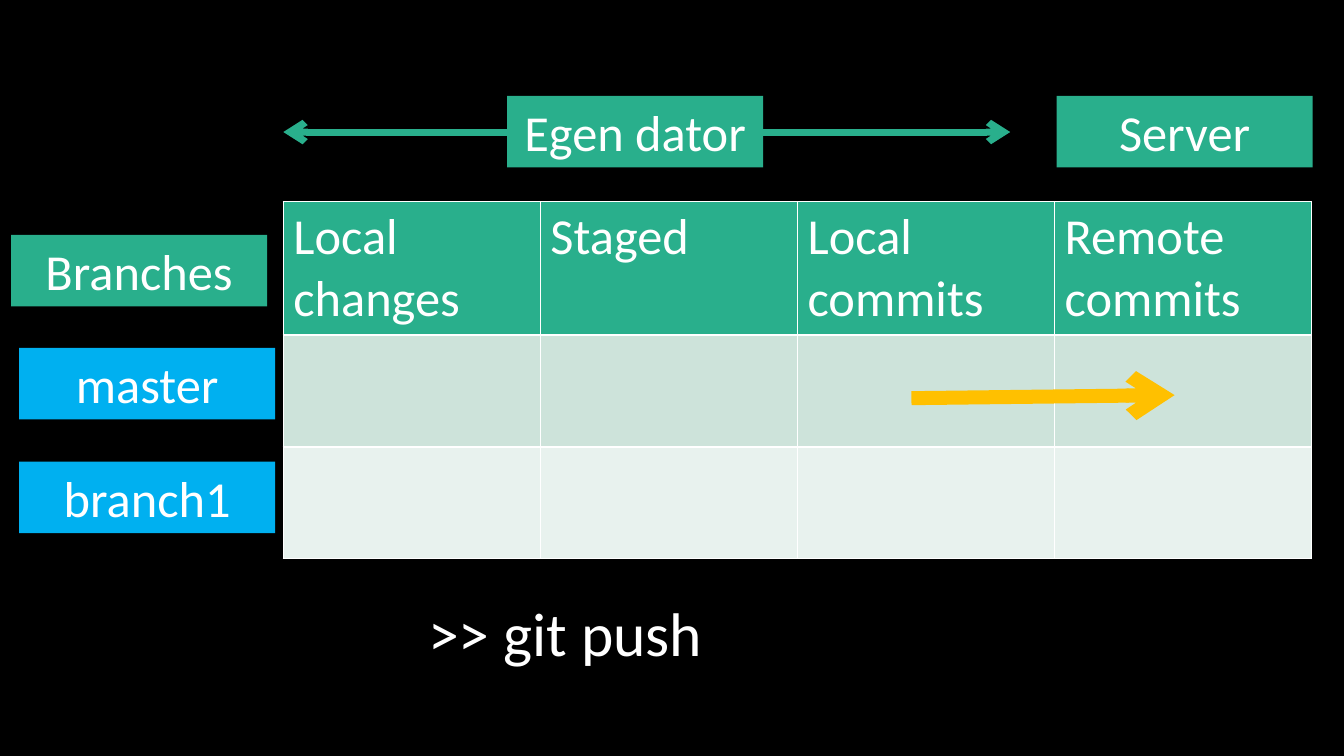
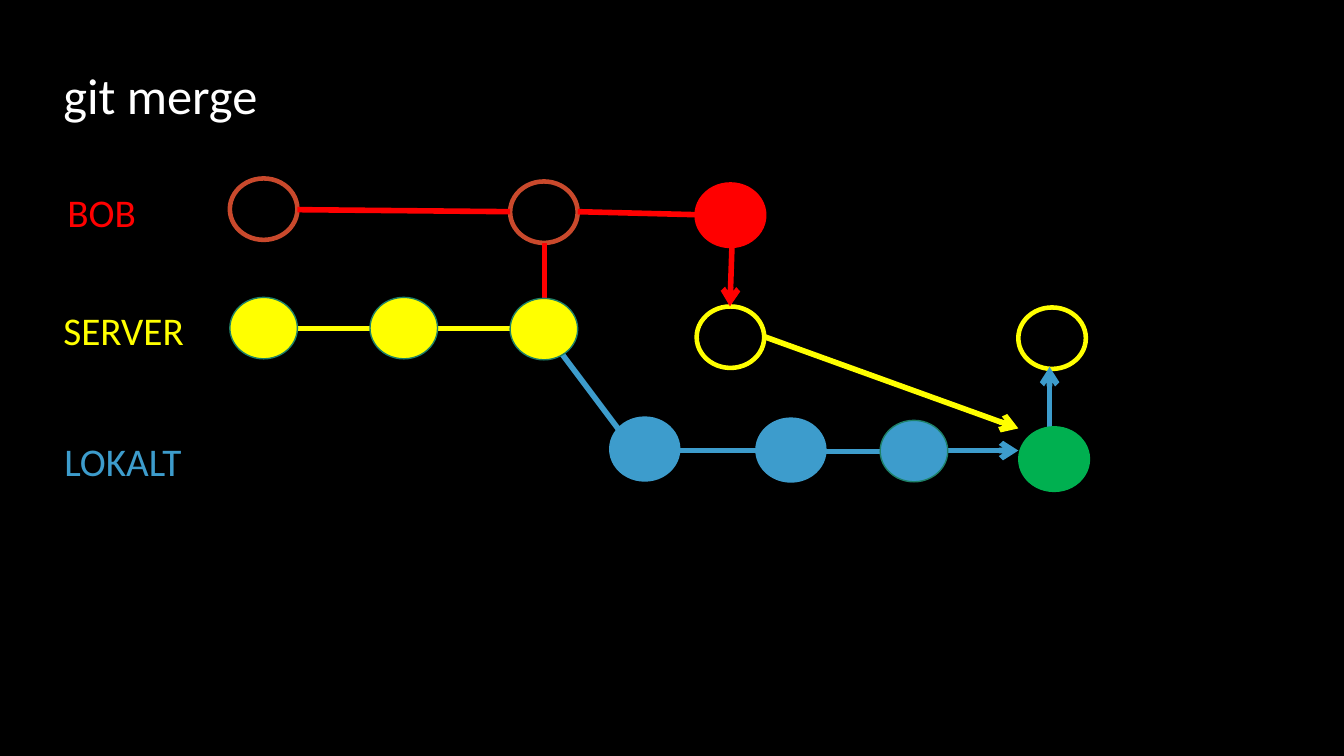
"""Build two slides that explain git push and git merge."""
from lxml.etree import SubElement
from pptx import Presentation
from pptx.dml.color import RGBColor
from pptx.enum.shapes import MSO_CONNECTOR, MSO_SHAPE
from pptx.enum.text import PP_ALIGN
from pptx.oxml.ns import qn
from pptx.util import Inches, Pt

BLACK = RGBColor(0x00, 0x00, 0x00)
WHITE = RGBColor(0xFF, 0xFF, 0xFF)
TEAL = RGBColor(0x29, 0xAF, 0x8C)
DARK_TEAL = RGBColor(0x1E, 0x81, 0x68)
MINT = RGBColor(0xCD, 0xE3, 0xDA)
PALE_MINT = RGBColor(0xE8, 0xF2, 0xEE)
SKY = RGBColor(0x00, 0xB0, 0xF0)
AMBER = RGBColor(0xFF, 0xC0, 0x00)
RED = RGBColor(0xFF, 0x00, 0x00)
RUST = RGBColor(0xC9, 0x49, 0x2C)
YELLOW = RGBColor(0xFF, 0xFF, 0x00)
BLUE = RGBColor(0x3D, 0x9C, 0xCC)
GREEN = RGBColor(0x00, 0xB0, 0x50)

FONT = {"name": "Calibri", "size": Pt(36)}
TAG_W, TAG_H = 2.54, 0.71
COMMIT_W, COMMIT_H = 0.67, 0.61
LINK_WIDTH = 4


def write(tf, text, color=WHITE, **fmt):
    p = tf.paragraphs[0]
    r = p.add_run()
    r.text = text
    for name, value in {**FONT, **fmt}.items():
        setattr(r.font, name, value)
    r.font.color.rgb = color
    return p


def add_text(s, text, x, y, w, h, color=WHITE, size=36):
    sp = s.shapes.add_textbox(Inches(x), Inches(y), Inches(w), Inches(h))
    sp.text_frame.word_wrap = True
    write(sp.text_frame, text, color, size=Pt(size))
    return sp


def add_tag(s, text, x, y, fill):
    sp = add_text(s, text, x, y, TAG_W, TAG_H)
    sp.fill.solid()
    sp.fill.fore_color.rgb = fill
    sp.text_frame.paragraphs[0].alignment = PP_ALIGN.CENTER


def add_line(s, x1, y1, x2, y2, color, width, ends=()):
    cxn = s.shapes.add_connector(
        MSO_CONNECTOR.STRAIGHT, Inches(x1), Inches(y1), Inches(x2), Inches(y2))
    cxn.line.color.rgb = color
    cxn.line.width = Pt(width)
    spPr = cxn._element.spPr
    for end in ends:
        SubElement(spPr.find(qn("a:ln")), qn(f"a:{end}"), type="arrow")
    SubElement(spPr, qn("a:effectLst"))


def add_commit(s, x, y, fill, outline, width):
    sp = s.shapes.add_shape(
        MSO_SHAPE.OVAL, Inches(x), Inches(y), Inches(COMMIT_W), Inches(COMMIT_H))
    sp.shadow.inherit = False
    if fill is None:
        sp.fill.background()
    else:
        sp.fill.solid()
        sp.fill.fore_color.rgb = fill
    sp.line.color.rgb = outline
    sp.line.width = Pt(width)


def add_borders(cell, color, width):
    tcPr = cell._tc.get_or_add_tcPr()
    for side in ("lnL", "lnR", "lnT", "lnB"):
        ln = SubElement(tcPr, qn(f"a:{side}"), w=str(Pt(width)))
        SubElement(SubElement(ln, qn("a:solidFill")), qn("a:srgbClr"), val=str(color))


def add_stage_table(s, x, y, col_w, row_heights, fills, headers):
    tbl = s.shapes.add_table(
        len(row_heights), len(headers), Inches(x), Inches(y),
        Inches(col_w * len(headers)), Inches(sum(row_heights))).table
    for col in tbl.columns:
        col.width = Inches(col_w)
    for row, height, fill in zip(tbl.rows, row_heights, fills):
        row.height = Inches(height)
        for cell in row.cells:
            add_borders(cell, WHITE, 1)
            cell.fill.solid()
            cell.fill.fore_color.rgb = fill
    for cell, header in zip(tbl.rows[0].cells, headers):
        write(cell.text_frame, header, bold=False)


def build_push(s):
    add_stage_table(
        s, 2.81, 2, 2.55, (1.32, 1.11, 1.11), (TEAL, MINT, PALE_MINT),
        ("Local changes", "Staged", "Local commits", "Remote commits"))
    add_line(s, 2.81, 1.31, 10.02, 1.31, TEAL, 5, ("headEnd", "tailEnd"))
    for text, x, y, fill in (
            ("Egen dator", 5.03, 0.95, TEAL),
            ("Server", 10.48, 0.95, TEAL),
            ("Branches", 0.11, 2.33, TEAL),
            ("master", 0.19, 3.45, SKY),
            ("branch1", 0.19, 4.58, SKY)):
        add_tag(s, text, x, y, fill)
    add_line(s, 9.04, 3.95, 11.65, 3.92, AMBER, 10, ("tailEnd",))
    add_text(s, " >> git push", 4.01, 5.85, 7.03, 0.84, size=44)


def build_merge(s):
    add_text(s, "git merge", 0.53, 0.59, 5.92, 0.71)
    for text, x, y, color in (
            ("BOB", 0.57, 1.82, RED),
            ("SERVER", 0.53, 2.99, YELLOW),
            ("LOKALT", 0.54, 4.29, BLUE)):
        add_text(s, text, x, y, 1.42, 0.57, color, 28)

    for x, y, outline in (
            (2.28, 1.77, RUST), (5.06, 1.8, RUST),
            (6.91, 3.04, YELLOW), (10.1, 3.05, YELLOW)):
        add_commit(s, x, y, None, outline, 3.25)

    for color, points in (
            (RED, ((2.95, 2.08, 5.06, 2.1), (5.73, 2.1, 6.91, 2.13),
                   (5.4, 2.96, 5.4, 2.41))),
            (YELLOW, ((2.78, 3.26, 4.01, 3.26), (4.34, 3.26, 5.57, 3.26))),
            (BLUE, ((5.4, 3.28, 6.36, 4.56), (6.45, 4.47, 7.67, 4.47),
                    (8.01, 4.48, 9.23, 4.48)))):
        for ends in points:
            add_line(s, *ends, color, LINK_WIDTH)
    for color, points in (
            (RED, (7.26, 2.44, 7.24, 3.04)),
            (YELLOW, (7.58, 3.34, 10.1, 4.25)),
            (BLUE, (9.4, 4.47, 10.1, 4.47)),
            (BLUE, (10.41, 4.25, 10.41, 3.64))):
        add_line(s, *points, color, LINK_WIDTH, ("tailEnd",))

    for x, y, fill, outline, width in (
            (2.28, 2.95, YELLOW, DARK_TEAL, 1),
            (3.67, 2.95, YELLOW, DARK_TEAL, 1),
            (5.06, 2.96, YELLOW, DARK_TEAL, 1),
            (6.06, 4.15, BLUE, BLUE, 2.75),
            (7.51, 4.16, BLUE, BLUE, 2.75),
            (8.73, 4.17, BLUE, DARK_TEAL, 1),
            (6.91, 1.83, RED, RED, 3.25),
            (10.12, 4.25, GREEN, GREEN, 3.25)):
        add_commit(s, x, y, fill, outline, width)


def main():
    prs = Presentation()
    prs.slide_width, prs.slide_height = Inches(13.33), Inches(7.5)
    bg = prs.slide_master.background.fill
    bg.solid()
    bg.fore_color.rgb = BLACK
    for build in (build_push, build_merge):
        build(prs.slides.add_slide(prs.slide_layouts[6]))
    prs.save("out.pptx")


if __name__ == "__main__":
    main()
